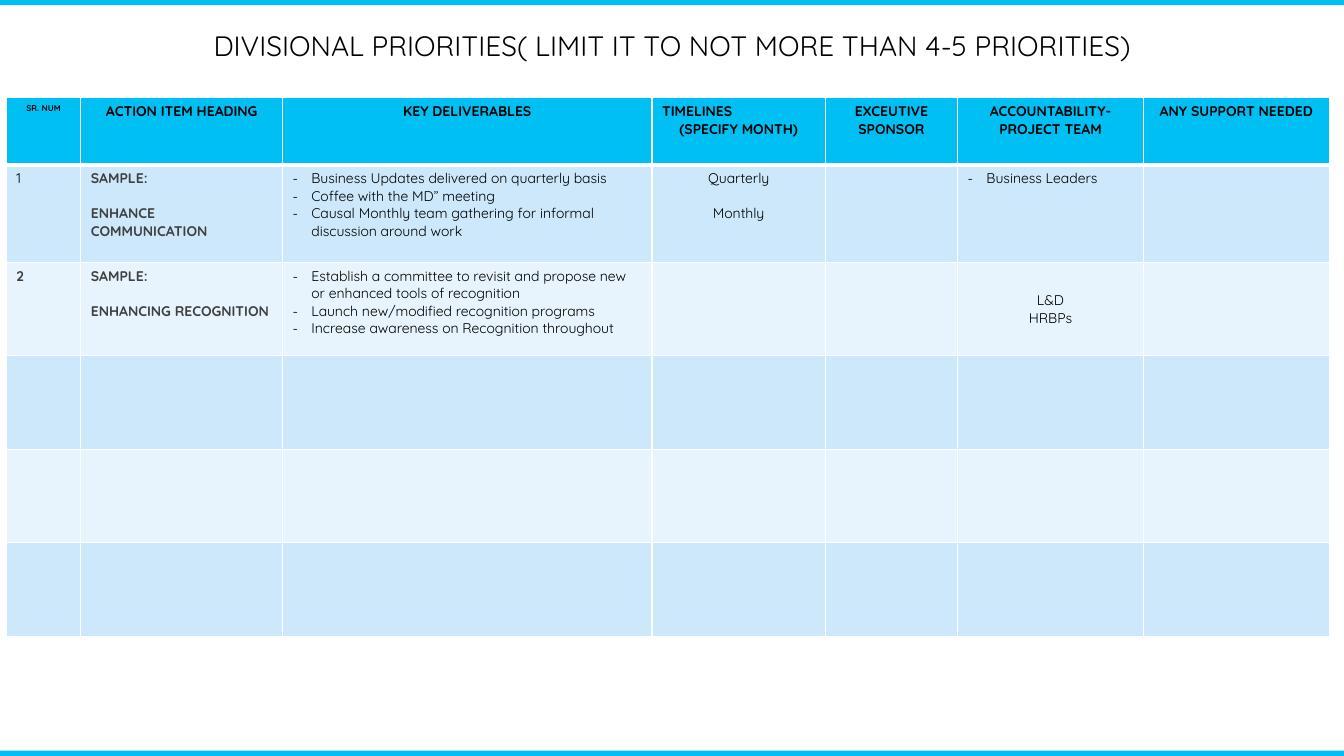
"""Build the divisional priorities slide."""
from dataclasses import dataclass
from itertools import product

from lxml.etree import SubElement
from pptx import Presentation
from pptx.dml.color import RGBColor
from pptx.enum.shapes import MSO_SHAPE as Preset
from pptx.enum.text import MSO_ANCHOR as Anchor, PP_ALIGN as Align
from pptx.oxml.ns import qn
from pptx.util import Emu, Pt

SCALE = 9525
WIDTH, HEIGHT = 1280, 720
FONT = "Quicksand"
BLACK, GREY, WHITE = "000000", "404040", "FFFFFF"
ACCENT, DARK_BAND, LIGHT_BAND = "00BFF3", "CCE8FA", "E7F4FD"
COLUMN_WIDTHS = [71, 192, 352, 165, 126, 177, 177]
ROW_HEIGHTS = [64, 93, 89, 89, 89, 89]
LINE_GAP = 12.5


@dataclass
class Style:
    """Describe how the paragraphs of a cell look."""
    align: Align = Align.LEFT
    bold: bool = False
    color: str = BLACK
    size: int = 10
    gap: float = 0
    bullet: bool = False
    anchor: Anchor = Anchor.TOP


HEADER = Style(Align.CENTER, bold=True)
SMALL_HEADER = Style(Align.CENTER, bold=True, size=6)
PLAIN = Style()
NUMBER = Style(bold=True, color=GREY)
ACTION = Style(bold=True, color=GREY, gap=LINE_GAP)
DASHES = Style(bullet=True)
TIMELINE = Style(Align.CENTER, gap=LINE_GAP)
TEAM = Style(Align.CENTER, anchor=Anchor.MIDDLE)

CELLS = {
    (0, 0): (SMALL_HEADER, ["SR. NUM"]),
    (0, 1): (HEADER, ["ACTION ITEM HEADING"]),
    (0, 2): (HEADER, ["KEY DELIVERABLES"]),
    (0, 3): (HEADER, ["TIMELINES", "(SPECIFY MONTH)"]),
    (0, 4): (HEADER, ["EXCEUTIVE SPONSOR"]),
    (0, 5): (HEADER, ["ACCOUNTABILITY- PROJECT TEAM"]),
    (0, 6): (HEADER, ["ANY SUPPORT NEEDED"]),
    (1, 0): (PLAIN, ["1"]),
    (1, 1): (ACTION, ["SAMPLE:", "ENHANCE COMMUNICATION"]),
    (1, 2): (DASHES, [
        "Business Updates delivered on quarterly basis",
        "Coffee with the MD” meeting",
        "Causal Monthly team gathering for informal discussion around work",
    ]),
    (1, 3): (TIMELINE, ["Quarterly", "Monthly"]),
    (1, 5): (DASHES, ["Business Leaders"]),
    (2, 0): (NUMBER, ["2"]),
    (2, 1): (ACTION, ["SAMPLE:", "ENHANCING RECOGNITION"]),
    (2, 2): (DASHES, [
        "Establish a committee to revisit and propose new or enhanced tools of recognition",
        "Launch new/modified recognition programs",
        "Increase awareness on Recognition throughout",
    ]),
    (2, 5): (TEAM, ["L&D", "HRBPs"]),
}


def px(length):
    """Turn pixels into EMU."""
    return Emu(length * SCALE)


def paint(fill, color):
    """Give a fill one solid hex colour."""
    fill.solid()
    fill.fore_color.rgb = RGBColor.from_string(color)


def add_run(paragraph, text, size, color=BLACK, bold=False):
    """Append one formatted run to a paragraph."""
    run = paragraph.add_run()
    run.text = text
    run.font.name = FONT
    run.font.size = Pt(size)
    run.font.bold = bold
    paint(run.font.fill, color)


def add_dash(paragraph):
    """Give a paragraph a hanging dash bullet."""
    properties = paragraph._p.get_or_add_pPr()
    properties.set("marL", str(px(18)))
    properties.set("indent", str(px(-18)))
    SubElement(properties, qn("a:buFont"), typeface=FONT)
    SubElement(properties, qn("a:buChar"), char="-")


def add_borders(cell, top, bottom):
    """Draw white borders, with the top and bottom widths in points."""
    properties = cell._tc.get_or_add_tcPr()
    sides = {"a:lnL": 1, "a:lnR": 1, "a:lnT": top, "a:lnB": bottom}
    for index, (side, width) in enumerate(sides.items()):
        line = SubElement(properties, qn(side), w=str(Pt(width)))
        fill = SubElement(line, qn("a:solidFill"))
        SubElement(fill, qn("a:srgbClr"), val=WHITE)
        properties.insert(index, line)


def write_cell(cell, style, texts):
    """Fill a cell with paragraphs of one style."""
    cell.vertical_anchor = style.anchor
    frame = cell.text_frame
    for index, text in enumerate(texts):
        paragraph = frame.add_paragraph() if index else frame.paragraphs[0]
        paragraph.alignment = style.align
        if index and style.gap:
            paragraph.space_before = Pt(style.gap)
        if style.bullet:
            add_dash(paragraph)
        add_run(paragraph, text, style.size, style.color, style.bold)


def add_bar(slide, left, top, width, height):
    """Add an accent bar along a slide edge."""
    bar = slide.shapes.add_shape(Preset.RECTANGLE, px(left), px(top), px(width), px(height))
    bar.shadow.inherit = False
    bar.line.fill.background()
    paint(bar.fill, ACCENT)


def add_title(slide, left, top, width, height):
    """Place and write the slide title."""
    title = slide.shapes.title
    title.left, title.top, title.width, title.height = map(px, (left, top, width, height))
    title.text_frame.vertical_anchor = Anchor.MIDDLE
    paragraph = title.text_frame.paragraphs[0]
    paragraph.alignment = Align.CENTER
    paragraph.line_spacing = 0.9
    paragraph.space_before = Pt(10)
    add_run(paragraph, "DIVISIONAL PRIORITIES( LIMIT IT TO NOT MORE THAN 4-5 PRIORITIES)", 20)


def add_priorities(slide, left, top):
    """Add the priorities table at the given corner."""
    rows, columns = len(ROW_HEIGHTS), len(COLUMN_WIDTHS)
    size = px(sum(COLUMN_WIDTHS)), px(sum(ROW_HEIGHTS))
    table = slide.shapes.add_table(rows, columns, px(left), px(top), *size).table
    table.horz_banding = False
    for column, width in zip(table.columns, COLUMN_WIDTHS):
        column.width = px(width)
    for row, height in zip(table.rows, ROW_HEIGHTS):
        row.height = px(height)
    for row, column in product(range(rows), range(columns)):
        cell = table.cell(row, column)
        band = DARK_BAND if row % 2 else LIGHT_BAND
        paint(cell.fill, band if row else ACCENT)
        add_borders(cell, 3 if row == 1 else 1, 1 if row else 3)
        if (row, column) in CELLS:
            write_cell(cell, *CELLS[row, column])
    table.cell(0, 3).text_frame.paragraphs[0].alignment = Align.LEFT


def main():
    """Build and save the presentation."""
    presentation = Presentation()
    presentation.slide_width, presentation.slide_height = px(WIDTH), px(HEIGHT)
    slide = presentation.slides.add_slide(presentation.slide_layouts[5])
    paint(slide.background.fill, WHITE)
    for top in (0, HEIGHT - 5):
        add_bar(slide, 0, top, WIDTH, 5)
    add_title(slide, 33, 7, 1215, 76)
    add_priorities(slide, 6, 93)
    presentation.save("out.pptx")


if __name__ == "__main__":
    main()
